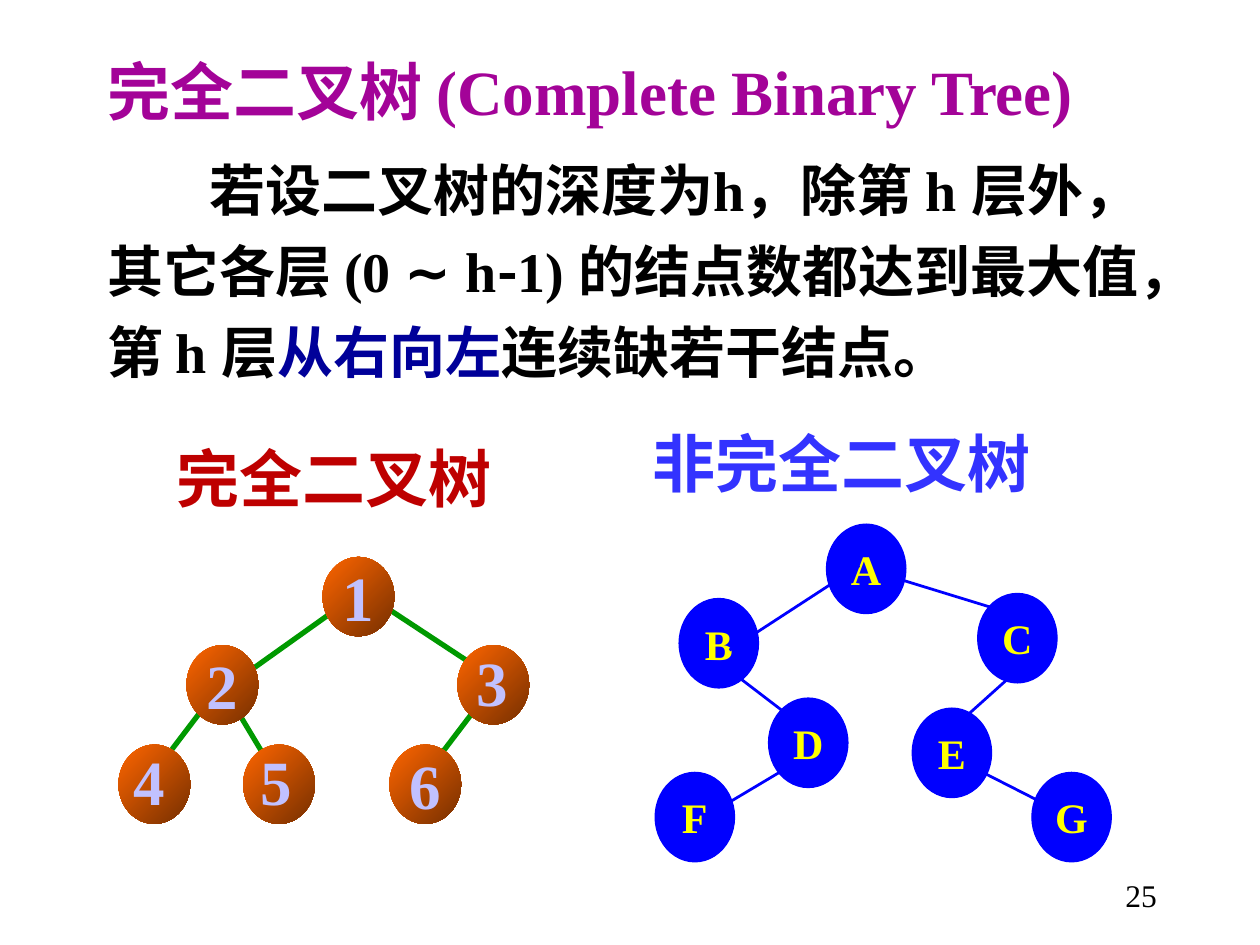
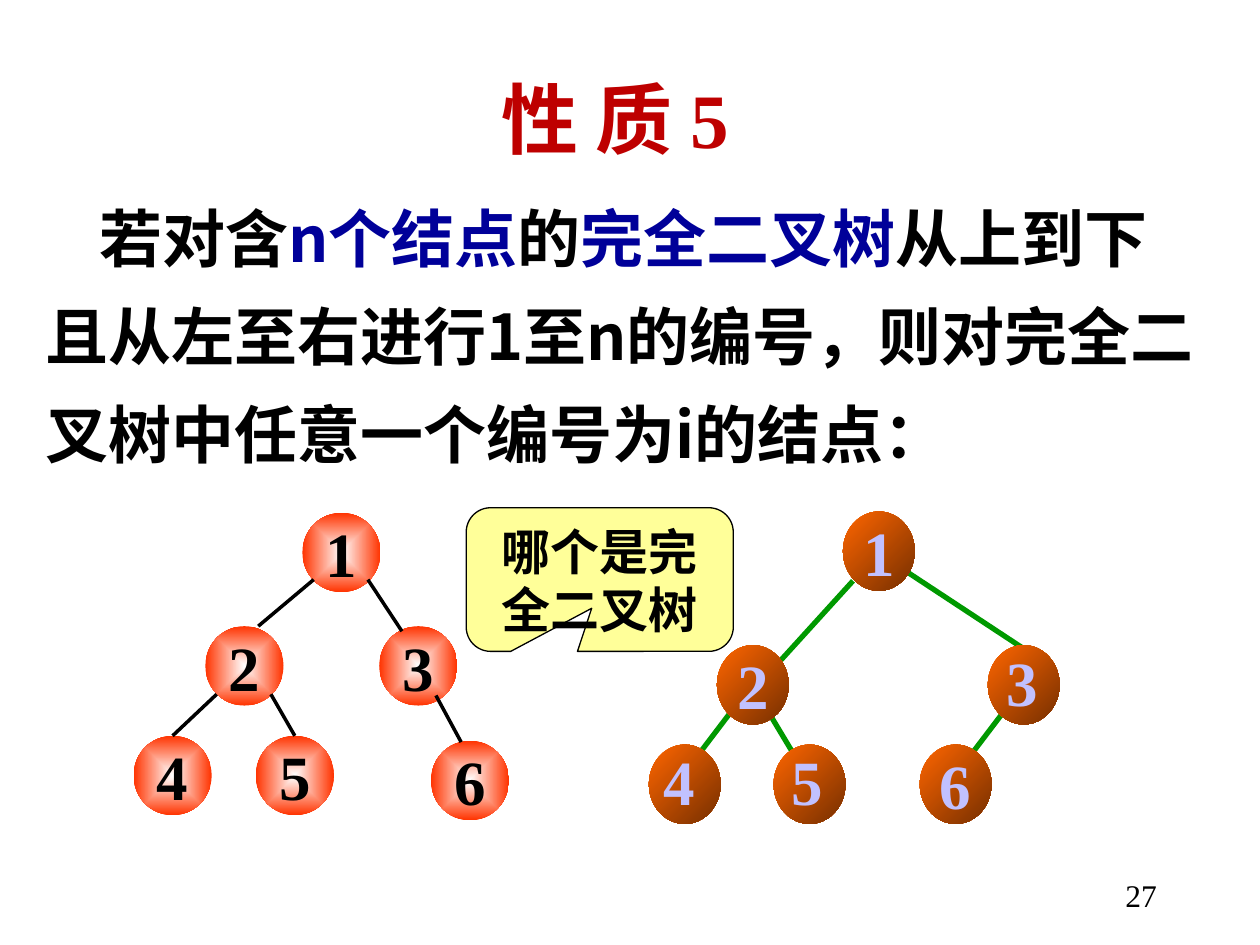
from pptx import Presentation
from pptx.dml.color import RGBColor
from pptx.enum.shapes import MSO_CONNECTOR, MSO_SHAPE
from pptx.enum.text import MSO_ANCHOR, PP_ALIGN
from pptx.oxml.ns import qn
from pptx.util import Inches, Pt
from lxml.etree import SubElement

SERIF, SANS, ARIAL = "Times New Roman", "Noto Sans CJK SC", "Arial"
BLACK = RGBColor(0x00, 0x00, 0x00)
WHITE = RGBColor(0xFF, 0xFF, 0xFF)
PURPLE = RGBColor(0xA3, 0x03, 0x98)
CRIMSON = RGBColor(0xBE, 0x00, 0x00)
NAVY = RGBColor(0x00, 0x00, 0x99)
VIOLET = RGBColor(0x33, 0x33, 0xFF)
BLUE = RGBColor(0x00, 0x00, 0xFF)
YELLOW = RGBColor(0xFF, 0xFF, 0x00)
CREAM = RGBColor(0xFF, 0xFF, 0x99)
GREEN = RGBColor(0x00, 0x99, 0x00)
ORANGE = RGBColor(0xFF, 0x66, 0x00)
BROWN = RGBColor(0x76, 0x2F, 0x00)
RED = RGBColor(0xFF, 0x33, 0x00)
LILAC = RGBColor(0xC1, 0xC1, 0xFF)

DEFINITION = [
    ("若设二叉树的深度为h，除第 h 层外，其它各层 (0 ", BLACK, SERIF),
    ("∼", BLACK, ARIAL),
    (" h", BLACK, SERIF),
    ("-", BLACK, SANS),
    ("1) 的结点数都达到最大值，第 h 层", BLACK, SERIF),
    ("从右向左", NAVY, SERIF),
    ("连续缺若干结点。", BLACK, SERIF),
]
PROPERTY = [
    ("若对含", BLACK, SANS),
    ("n个结点", NAVY, SANS),
    ("的", BLACK, SANS),
    ("完全二叉树", NAVY, SANS),
    ("从上到下且从左至右进行1至n的编号，则对完全二叉树中任意一个编号为i的结点：", BLACK, SANS),
]

# fmt: off
# fmt: on
COMPLETE_NODES = {"4": (0.94, 5.91), "5": (1.93, 5.91), "6": (3.09, 5.91),
                  "2": (1.48, 5.12), "3": (3.63, 5.12)}
COMPLETE_EDGES = {"3-6": (3.93, 5.42, 3.36, 6.17), "2-5": (1.75, 5.42, 2.2, 6.17),
                  "2-4": (1.69, 5.52, 1.12, 6.27)}
LOW_ROOT_TREE = {
    "nodes": {**COMPLETE_NODES, "1": (2.56, 4.42)},
    "edges": {**COMPLETE_EDGES, "1-3": (2.91, 4.72, 4.05, 5.47), "1-2": (2.93, 4.65, 1.75, 5.49)},
}
HIGH_ROOT_TREE = {
    "nodes": {**COMPLETE_NODES, "1": (2.48, 4.06)},
    "edges": {**COMPLETE_EDGES, "1-3": (2.99, 4.54, 4.13, 5.29), "1-2": (2.56, 4.61, 1.76, 5.49)},
}
LETTER_TREE = {
    "nodes": {"A": (6.56, 4.16), "B": (5.39, 4.75), "C": (7.76, 4.71), "D": (6.1, 5.54),
              "E": (7.24, 5.62), "F": (5.2, 6.13), "G": (8.19, 6.13)},
    "edges": {"A-B": (6.82, 4.49, 5.79, 5.16), "A-C": (7.05, 4.57, 8.19, 4.92),
              "B-D": (5.79, 5.32, 6.3, 5.71), "C-E": (8.03, 5.36, 7.64, 5.71),
              "D-F": (6.22, 6.11, 5.75, 6.39), "E-G": (7.76, 6.11, 8.31, 6.39)},
}
RED_TREE = {
    "nodes": {"1": (2.4, 4.07), "2": (1.63, 4.97), "3": (3.01, 4.97),
              "4": (1.06, 5.84), "5": (2.03, 5.84), "6": (3.42, 5.88)},
    "edges": {"1-2": (2.49, 4.6, 2.05, 4.97), "1-3": (2.92, 4.6, 3.19, 5.01),
              "2-4": (1.72, 5.51, 1.37, 5.84), "2-5": (2.15, 5.51, 2.34, 5.84),
              "3-6": (3.46, 5.52, 3.66, 5.89)},
}

BROWN_STYLE = {
    "node_size": (0.57, 0.63), "fill": (ORANGE, BROWN), "outline": None,
    "label": {"size": 36, "color": LILAC}, "edge": (GREEN, 3), "edges_behind": True,
    "label_offsets": {"3": (0.05, -0.06), "4": (0.02, -0.07), "5": (0.04, -0.07)},
}
BLUE_STYLE = {
    "node_size": (0.63, 0.71), "fill": BLUE, "outline": BLUE,
    "label": {"size": 24, "color": YELLOW}, "edge": (BLUE, 1.59), "edges_behind": False,
    "label_offsets": {},
}
RED_STYLE = {
    "node_size": (0.62, 0.63), "fill": (WHITE, RED, True), "outline": None,
    "label": {"size": 36, "color": BLACK}, "edge": (BLACK, 2), "edges_behind": False,
    "label_offsets": {},
}


def write(sp, text, size=36, color=BLACK, font=SERIF, bold=True, align=PP_ALIGN.LEFT,
          anchor=MSO_ANCHOR.TOP, wrap=True, spacing=None, margin=0, indent=0):
    tf = sp.text_frame
    tf.word_wrap, tf.vertical_anchor = wrap, anchor
    p = tf.paragraphs[0]
    p.alignment, p.space_before = align, Pt(0)
    if spacing:
        p.line_spacing = spacing
    pPr = p._p.get_or_add_pPr()
    pPr.set("marL", str(Inches(margin)))
    pPr.set("indent", str(Inches(indent)))
    SubElement(pPr, qn("a:buNone"))
    runs = [(text, color, font)] if isinstance(text, str) else text
    for words, run_color, run_font in runs:
        r = p.add_run()
        r.text = words
        r.font.size, r.font.bold, r.font.name = Pt(size), bold, run_font
        r.font.color.rgb = run_color
        SubElement(r._r.get_or_add_rPr(), qn("a:ea")).set("typeface", SANS)


def place(sp, x, y, w, h):
    sp.left, sp.top, sp.width, sp.height = map(Inches, (x, y, w, h))
    return sp


def add_text(shapes, x, y, w, h, text, **fmt):
    write(shapes.add_textbox(*map(Inches, (x, y, w, h))), text, **fmt)


def fill_gradient(sp, start, end, from_center=False):
    sp.fill.gradient()
    sp.fill.gradient_angle = 315
    for stop, color in zip(sp.fill.gradient_stops, (start, end)):
        stop.color.rgb = color
    if from_center:
        grad = sp._element.spPr.find(qn("a:gradFill"))
        grad.remove(grad.find(qn("a:lin")))
        center = SubElement(grad, qn("a:path"))
        center.set("path", "rect")
        rect = SubElement(center, qn("a:fillToRect"))
        for side in "ltrb":
            rect.set(side, "50000")


def add_shape(shapes, kind, x, y, w, h, fill, outline):
    sp = shapes.add_shape(kind, *map(Inches, (x, y, w, h)))
    sp.shadow.inherit = False
    if isinstance(fill, RGBColor):
        sp.fill.solid()
        sp.fill.fore_color.rgb = fill
    else:
        fill_gradient(sp, *fill)
    if outline is None:
        sp.line.fill.background()
    else:
        sp.line.color.rgb, sp.line.width = outline, Pt(0.75)
    return sp


def draw_edges(shapes, edges, style, dx):
    color, width = style["edge"]
    for x1, y1, x2, y2 in edges.values():
        ends = map(Inches, (x1 + dx, y1, x2 + dx, y2))
        edge = shapes.add_connector(MSO_CONNECTOR.STRAIGHT, *ends)
        edge.line.color.rgb, edge.line.width = color, Pt(width)
        SubElement(edge._element.spPr, qn("a:effectLst"))


def draw_nodes(shapes, nodes, style, dx):
    for label, (x, y) in nodes.items():
        node = add_shape(shapes, MSO_SHAPE.OVAL, x + dx, y, *style["node_size"],
                         style["fill"], style["outline"])
        if label in style["label_offsets"]:
            ox, oy = style["label_offsets"][label]
            add_text(shapes, x + dx + ox, y + oy, 0.45, 0.7, label, wrap=False, **style["label"])
        else:
            write(node, label, align=PP_ALIGN.CENTER, anchor=MSO_ANCHOR.MIDDLE, wrap=False,
                  **style["label"])


def draw_tree(s, tree, style, dx=0):
    shapes = s.shapes.add_group_shape().shapes
    if style["edges_behind"]:
        draw_edges(shapes, tree["edges"], style, dx)
        draw_nodes(shapes, tree["nodes"], style, dx)
    else:
        draw_nodes(shapes, tree["nodes"], style, dx)
        draw_edges(shapes, tree["edges"], style, dx)


def new_slide(prs, number, title, title_box, title_fmt, body, body_box, body_fmt):
    s = prs.slides.add_slide(prs.slide_layouts[1])
    write(place(s.shapes.title, *title_box), title, **title_fmt)
    write(place(s.placeholders[1], *body_box), body, **body_fmt)
    add_text(s.shapes, 7.2, 6.9, 2.08, 0.5, number, size=18, bold=False, align=PP_ALIGN.RIGHT)
    return s


def definition_slide(prs):
    s = new_slide(prs, "25",
                  "完全二叉树 (Complete Binary Tree)", (0.75, 0.25, 8.91, 0.82),
                  {"color": PURPLE, "spacing": 1.2},
                  DEFINITION, (0.75, 1.08, 8.48, 2.02),
                  {"size": 32, "spacing": 1.2, "indent": 0.81})
    add_text(s.shapes, 5.08, 3.32, 3.62, 0.7, "非完全二叉树", color=VIOLET)
    add_text(s.shapes, 1.3, 3.44, 2.95, 0.7, "完全二叉树", color=CRIMSON)
    draw_tree(s, LOW_ROOT_TREE, BROWN_STYLE)
    draw_tree(s, LETTER_TREE, BLUE_STYLE)


def property_slide(prs):
    s = new_slide(prs, "27",
                  "性 质 5", (-0.12, 0.52, 10, 0.84),
                  {"size": 44, "color": CRIMSON, "align": PP_ALIGN.CENTER},
                  PROPERTY, (0.16, 1.35, 9.53, 2.44),
                  {"spacing": 1.3, "margin": 0.1, "indent": 0.43})
    draw_tree(s, HIGH_ROOT_TREE, BROWN_STYLE, dx=4.21)
    draw_tree(s, RED_TREE, RED_STYLE)
    callout = add_shape(s.shapes, MSO_SHAPE.ROUNDED_RECTANGULAR_CALLOUT,
                        3.7, 4.03, 2.12, 1.14, CREAM, BLACK)
    for i, value in enumerate((-0.03, 0.2, 0.17)):
        callout.adjustments[i] = value
    write(callout, "哪个是完全二叉树", size=28, align=PP_ALIGN.CENTER)


def main():
    prs = Presentation()
    prs.slide_width, prs.slide_height = Inches(10), Inches(7.5)
    definition_slide(prs)
    property_slide(prs)
    prs.save("out.pptx")


if __name__ == "__main__":
    main()
